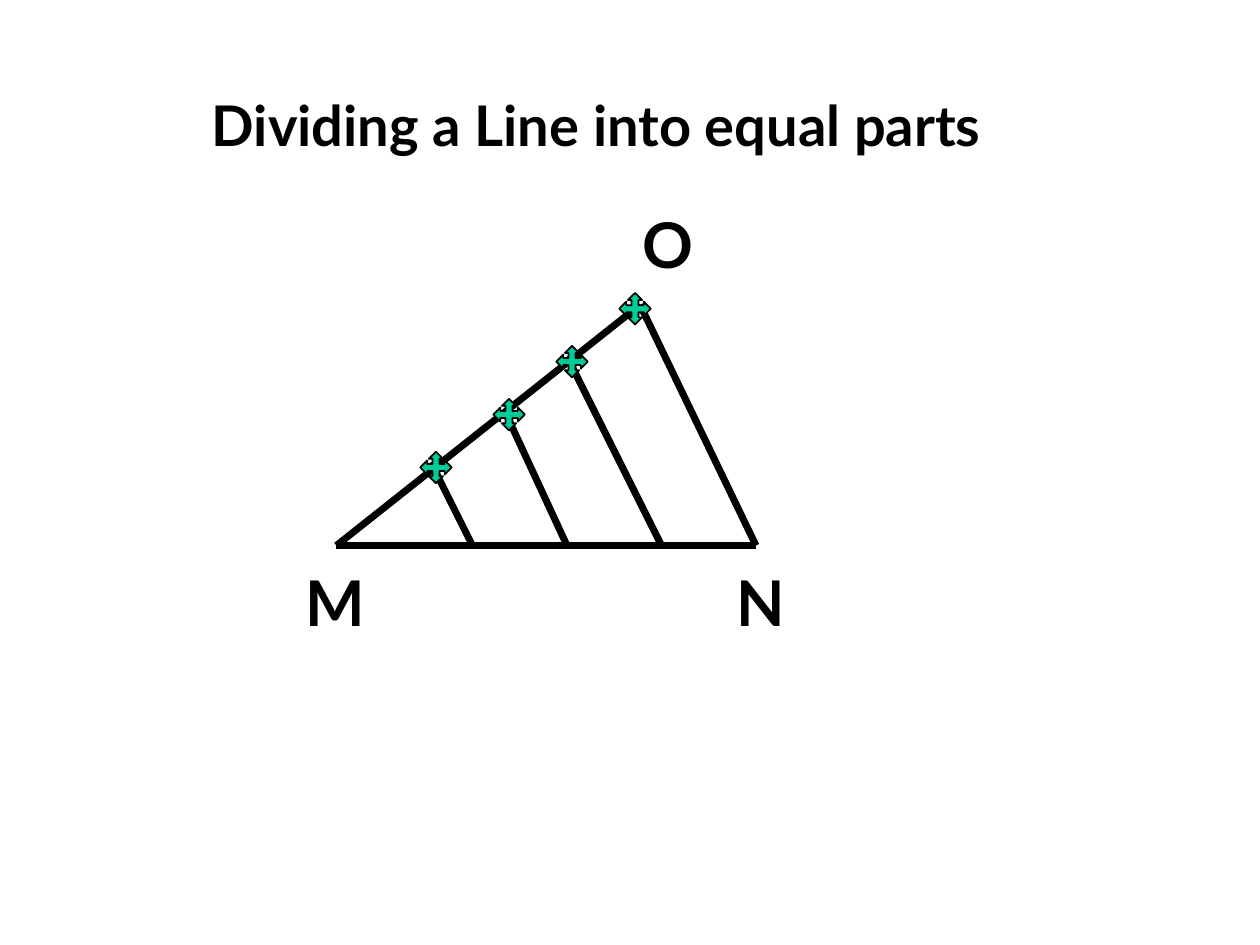
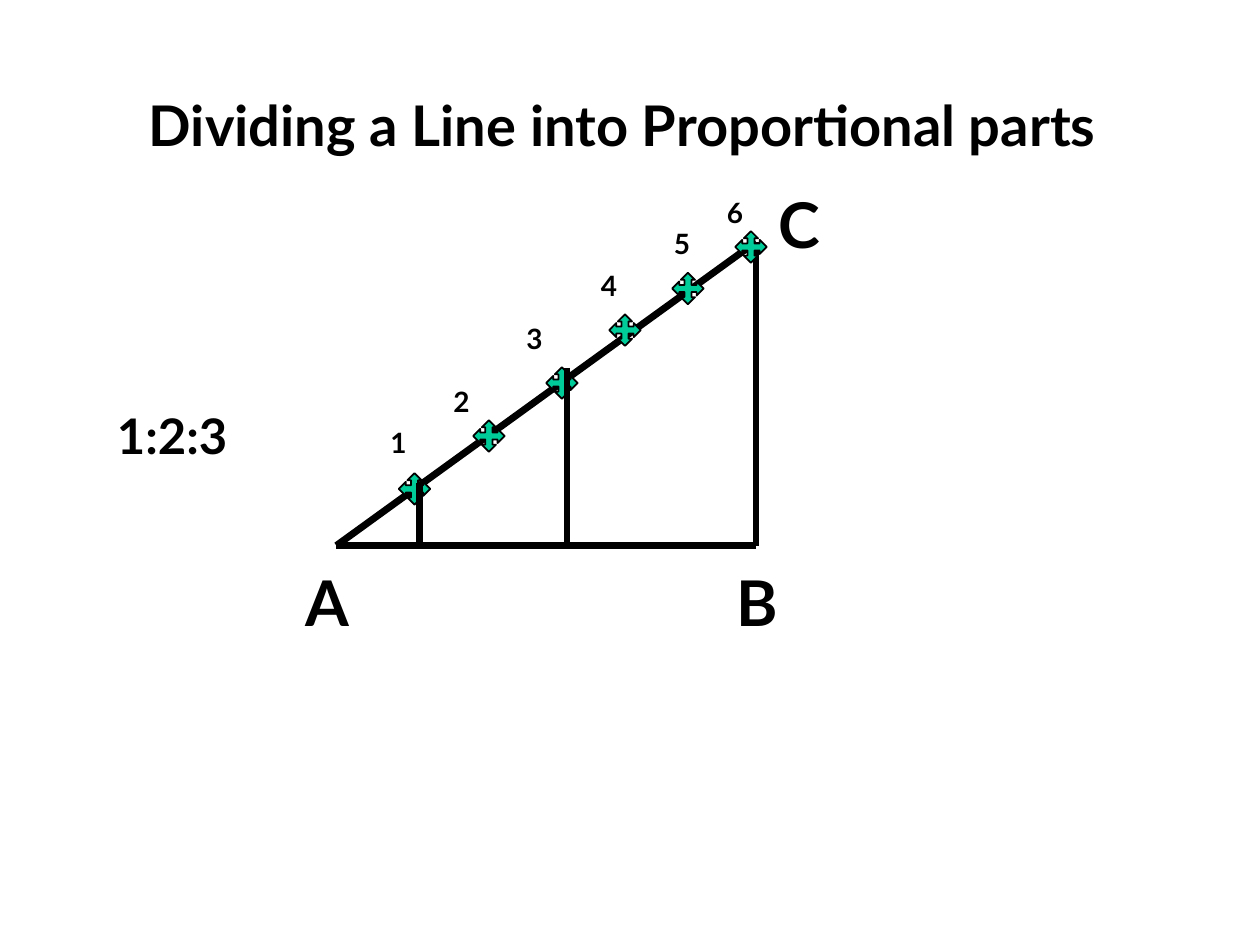
from collections import namedtuple

from lxml.etree import SubElement
from pptx import Presentation
from pptx.dml.color import RGBColor
from pptx.enum.shapes import MSO_CONNECTOR, MSO_SHAPE
from pptx.enum.text import MSO_ANCHOR, MSO_AUTO_SIZE, PP_ALIGN
from pptx.oxml.ns import qn
from pptx.util import Inches, Pt

FONT = "Lato"
COLORS = {"ink": "000000", "marker": "00CC99", "background": "FFFFFF"}
MARKER_SIZE = 0.25
TITLE_ONLY = 5

Box = namedtuple("Box", "left top width height")


def rgb(name):
    return RGBColor.from_string(COLORS[name])


def write(sp, text, size, bold=True, color="ink"):
    tf = sp.text_frame
    tf.word_wrap = True
    tf.auto_size = MSO_AUTO_SIZE.NONE
    tf.vertical_anchor = MSO_ANCHOR.TOP
    tf.margin_left = tf.margin_right = Inches(0.1)
    tf.margin_top = tf.margin_bottom = Inches(0.05)
    p = tf.paragraphs[0]
    p.alignment = PP_ALIGN.LEFT
    r = p.add_run()
    r.text = text
    r.font.name = FONT
    r.font.size = Pt(size)
    r.font.bold = bold
    r.font.color.rgb = rgb(color)


def add_label(s, box, text, size):
    write(s.shapes.add_textbox(*map(Inches, box)), text, size)


def add_line(s, box, start, end):
    """Draw a line between two points measured from the corner of box."""
    ends = [Inches(corner + offset) for point in (start, end)
            for corner, offset in zip(box[:2], point)]
    line = s.shapes.add_connector(MSO_CONNECTOR.STRAIGHT, *ends)
    line.line.color.rgb = rgb("ink")
    line.line.width = Pt(4)
    SubElement(line._element.spPr, qn("a:effectLst"))


def add_slide(prs, title, box):
    s = prs.slides.add_slide(prs.slide_layouts[TITLE_ONLY])
    s.background.fill.solid()
    s.background.fill.fore_color.rgb = rgb("background")
    sp = s.shapes.title
    sp.left, sp.top, sp.width, sp.height = map(Inches, box)
    write(sp, title, 32)
    return s


def add_triangle(s, box, apex_x):
    left, right, apex = (0, box.height), (box.width, box.height), (apex_x, 0)
    for start, end in ((left, right), (left, apex), (apex, right)):
        add_line(s, box, start, end)


def add_corner_labels(s, box, names, apex_at):
    """Name the left, right and top corners; apex_at is measured from box."""
    below = box.height + 0.09
    spots = ((-0.34, below), (box.width - 0.25, below), apex_at)
    for name, (x, y) in zip(names, spots):
        add_label(s, (box.left + x, box.top + y, 0.58, 0.7), name, 36)


def add_dividers(s, box, dividers):
    """Draw each (top point, foot x) down to the base of the triangle."""
    for top, foot_x in dividers:
        add_line(s, box, top, (foot_x, box.height))


def add_markers(s, box, centres):
    for x, y in centres:
        sp = s.shapes.add_shape(
            MSO_SHAPE.QUAD_ARROW,
            Inches(box.left + x - MARKER_SIZE / 2),
            Inches(box.top + y - MARKER_SIZE / 2),
            Inches(MARKER_SIZE), Inches(MARKER_SIZE))
        sp.shadow.inherit = False
        sp.fill.solid()
        sp.fill.fore_color.rgb = rgb("marker")
        sp.line.color.rgb = rgb("ink")
        sp.line.width = Pt(1)


def add_step_numbers(s, box, spots):
    for number, (x, y) in enumerate(spots, 1):
        add_label(s, (box.left + x, box.top + y, 0.25, 0.37), str(number), 16)


def equal_parts_slide(prs, box):
    s = add_slide(prs, "Dividing a Line into equal parts",
                  (1.58, 0.67, 7.25, 0.64))
    add_triangle(s, box, apex_x=2.41)
    tops = ((0.75, 1.25), (1.33, 0.83), (1.83, 0.41))
    add_dividers(s, box, [(top, 1.08 + 0.75 * i) for i, top in enumerate(tops)])
    add_corner_labels(s, box, "MNO", apex_at=(2.33, -0.84))
    add_markers(s, box, [(x, 1.29 - 0.42 * i)
                         for i, x in enumerate((0.79, 1.37, 1.87, 2.37))])


def proportional_parts_slide(prs, box):
    s = add_slide(prs, "Dividing a Line into Proportional parts",
                  (1.08, 0.67, 8.25, 1.17))
    add_triangle(s, box, apex_x=box.width)
    add_corner_labels(s, box, "ABC", apex_at=(3.41, -0.5))
    add_markers(s, box, ((0.62, 1.96), (1.21, 1.54), (1.79, 1.12),
                         (2.29, 0.7), (2.79, 0.37), (3.29, 0.04)))
    add_step_numbers(s, box, ((0.33, 1.41), (0.83, 1.08), (1.41, 0.58),
                              (2, 0.16), (2.58, -0.17), (3, -0.42)))
    add_label(s, (box.left - 1.84, box.top + 1.25, 1.83, 0.57), "1:2:3", 28)
    add_dividers(s, box, (((0.66, 1.91), 0.66), ((1.83, 1), 1.83)))


def main():
    prs = Presentation()
    prs.slide_width, prs.slide_height = Inches(10), Inches(7.5)
    equal_parts_slide(prs, Box(2.67, 2.42, 3.33, 1.91))
    proportional_parts_slide(prs, Box(2.67, 1.92, 3.33, 2.41))
    prs.save("out.pptx")


if __name__ == "__main__":
    main()
